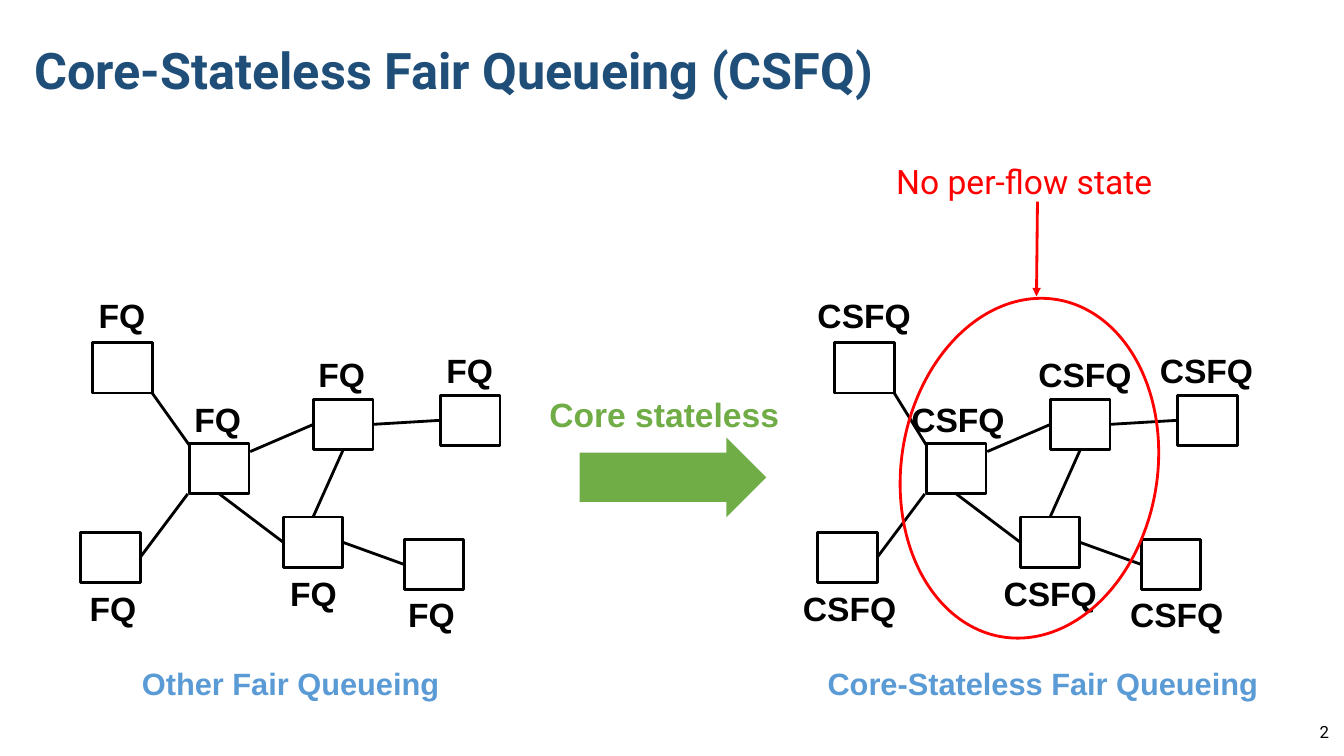
from lxml.etree import SubElement
from pptx import Presentation
from pptx.dml.color import RGBColor
from pptx.enum.shapes import MSO_CONNECTOR, MSO_SHAPE
from pptx.enum.text import MSO_ANCHOR, MSO_AUTO_SIZE, PP_ALIGN
from pptx.oxml.ns import qn
from pptx.util import Inches, Pt

COLUMNS, ROWS = 133.3, 75
NODE_WIDTH, NODE_HEIGHT = 5.9, 5
LABEL_HEIGHT = 5
BLACK, RED, GREEN, BLUE, NAVY = "000000", "FF0000", "70AD47", "5B9BD5", "1F4E79"

# Node left and top, then label centre and top, in cells from the network's corner
NODES = {
    "entry top": (1.2, 5.2, 4.15, 0),
    "entry bottom": (0, 24, 3.25, 29),
    "core": (10.8, 15.2, 13.65, 10.3),
    "upper": (23.1, 10.8, 25.95, 5.8),
    "lower": (20.1, 22.5, 23.15, 27.5),
    "exit top": (35.7, 10.4, 38.65, 5.4),
    "exit bottom": (32.1, 24.7, 34.85, 29.6),
}
# Each end is a node and a point given as shares of its width and height
LINKS = [
    ("entry top", (1, 1), "core", (0, 0.04)),
    ("entry bottom", (1, 0.5), "core", (-0.03, 1)),
    ("upper", (0, 0.5), "core", (1.02, 0.16)),
    ("core", (0.5, 1), "lower", (0, 0.5)),
    ("lower", (0.5, 0), "upper", (0.5, 1)),
    ("lower", (1, 0.5), "exit bottom", (0, 0.5)),
    ("exit top", (0, 0.5), "upper", (1, 0.5)),
]
SIDE_MIDDLES = {(0.5, 0): 0, (0, 0.5): 1, (0.5, 1): 2, (1, 0.5): 3}


def cells(count):
    """Length of a number of grid cells, ten to the inch."""
    return Inches(count / 10)


def color(hex_string):
    return RGBColor.from_string(hex_string)


def add_text(slide, box, text, size, text_color, font="Arial", bold=True, wrap=False,
             anchor=MSO_ANCHOR.TOP, align=PP_ALIGN.LEFT, spacing=None):
    frame = slide.shapes.add_textbox(*map(cells, box)).text_frame
    frame.word_wrap = wrap
    frame.auto_size = MSO_AUTO_SIZE.NONE if wrap else MSO_AUTO_SIZE.SHAPE_TO_FIT_TEXT
    frame.vertical_anchor = anchor
    paragraph = frame.paragraphs[0]
    paragraph.alignment = align
    paragraph.line_spacing = spacing
    run = paragraph.add_run()
    run.text = text
    run.font.name, run.font.size, run.font.bold = font, Pt(size), bold
    run.font.color.rgb = color(text_color)


def add_shape(slide, kind, box, line_color=None, fill_color=None):
    shape = slide.shapes.add_shape(kind, *map(cells, box))
    shape.shadow.inherit = False
    if fill_color:
        shape.fill.solid()
        shape.fill.fore_color.rgb = color(fill_color)
    else:
        shape.fill.background()
    if line_color:
        shape.line.color.rgb = color(line_color)
        shape.line.width = Pt(2)
    else:
        shape.line.fill.background()
    return shape


def add_line(slide, start, end, line_color):
    connector = slide.shapes.add_connector(MSO_CONNECTOR.STRAIGHT, *start, *end)
    connector.line.color.rgb = color(line_color)
    connector.line.width = Pt(2)
    SubElement(connector._element.spPr, qn("a:effectLst"))
    return connector


def point_on(node, shares):
    return (round(node.left + shares[0] * node.width),
            round(node.top + shares[1] * node.height))


def add_network(slide, left, top, label, label_width, nudges):
    """Draw the linked nodes; nudges shift a node and its label sideways."""
    nodes = {}
    for name, (x, y, label_center, label_top) in NODES.items():
        node_nudge, label_nudge = nudges.get(name, (0, 0))
        nodes[name] = add_shape(
            slide, MSO_SHAPE.RECTANGLE,
            (left + x + node_nudge, top + y, NODE_WIDTH, NODE_HEIGHT), BLACK)
        label_left = left + label_center + label_nudge - label_width / 2
        add_text(slide, (label_left, top + label_top, label_width, LABEL_HEIGHT),
                 label, 24, BLACK)
    for first, first_point, second, second_point in LINKS:
        connector = add_line(slide, point_on(nodes[first], first_point),
                             point_on(nodes[second], second_point), BLACK)
        if first_point in SIDE_MIDDLES:
            connector.begin_connect(nodes[first], SIDE_MIDDLES[first_point])
        if second_point in SIDE_MIDDLES:
            connector.end_connect(nodes[second], SIDE_MIDDLES[second_point])


def add_transition(slide, left, top):
    """Green arrow between the networks, with its caption above."""
    arrow = add_shape(slide, MSO_SHAPE.RIGHT_ARROW, (left + 4, top + 4.8, 18.5, 7.9),
                      fill_color=GREEN)
    arrow.adjustments[0] = 0.62
    arrow.adjustments[1] = 0.5
    add_text(slide, (left, top, 25.1, LABEL_HEIGHT), "Core stateless", 24, GREEN)


def add_core_callout(slide, left, top):
    """Red note with an arrow to the ellipse around the core nodes."""
    add_text(slide, (left, top, 28.3, 14.5), "No per-flow state", 24, RED, "Roboto",
             bold=False, wrap=True, anchor=MSO_ANCHOR.MIDDLE, spacing=1.5)
    ellipse = add_shape(slide, MSO_SHAPE.OVAL, (left + 1.5, top + 19.8, 25.4, 33.9), RED)
    ellipse.rotation = 9.1
    pointer = add_line(slide, (cells(left + 15), cells(top + 10.3)),
                       (cells(left + 14.9), cells(top + 19.7)), RED)
    SubElement(pointer.line._get_or_add_ln(), qn("a:tailEnd"), type="triangle")


def main():
    presentation = Presentation()
    presentation.slide_width, presentation.slide_height = cells(COLUMNS), cells(ROWS)
    slide = presentation.slides.add_slide(presentation.slide_layouts[6])

    add_text(slide, (2.4, 0, 122.8, 14.5), "Core-Stateless Fair Queueing (CSFQ)", 36,
             NAVY, "Roboto", wrap=True, anchor=MSO_ANCHOR.MIDDLE, spacing=0.9)
    add_network(slide, 8, 28.8, "FQ", 6.7, {})
    add_network(slide, 81.1, 28.8, "CSFQ", 11.4, {
        "entry top": (0.5, 0.55), "core": (0, 0.35),
        "upper": (0, 0.65), "exit bottom": (0, 0.85)})
    add_transition(slide, 53.5, 38.6)
    add_core_callout(slide, 87.9, 9.7)
    add_text(slide, (13.1, 65.5, 31.9, 4.7), "Other Fair Queueing", 22, BLUE)
    add_text(slide, (81.1, 65.5, 45.3, 4.7), "Core-Stateless Fair Queueing", 22, BLUE)
    add_text(slide, (102.8, 70.6, 30, 4), "2", 12, BLACK, "Roboto", bold=False,
             wrap=True, anchor=MSO_ANCHOR.MIDDLE, align=PP_ALIGN.RIGHT)
    presentation.save("out.pptx")


if __name__ == "__main__":
    main()
